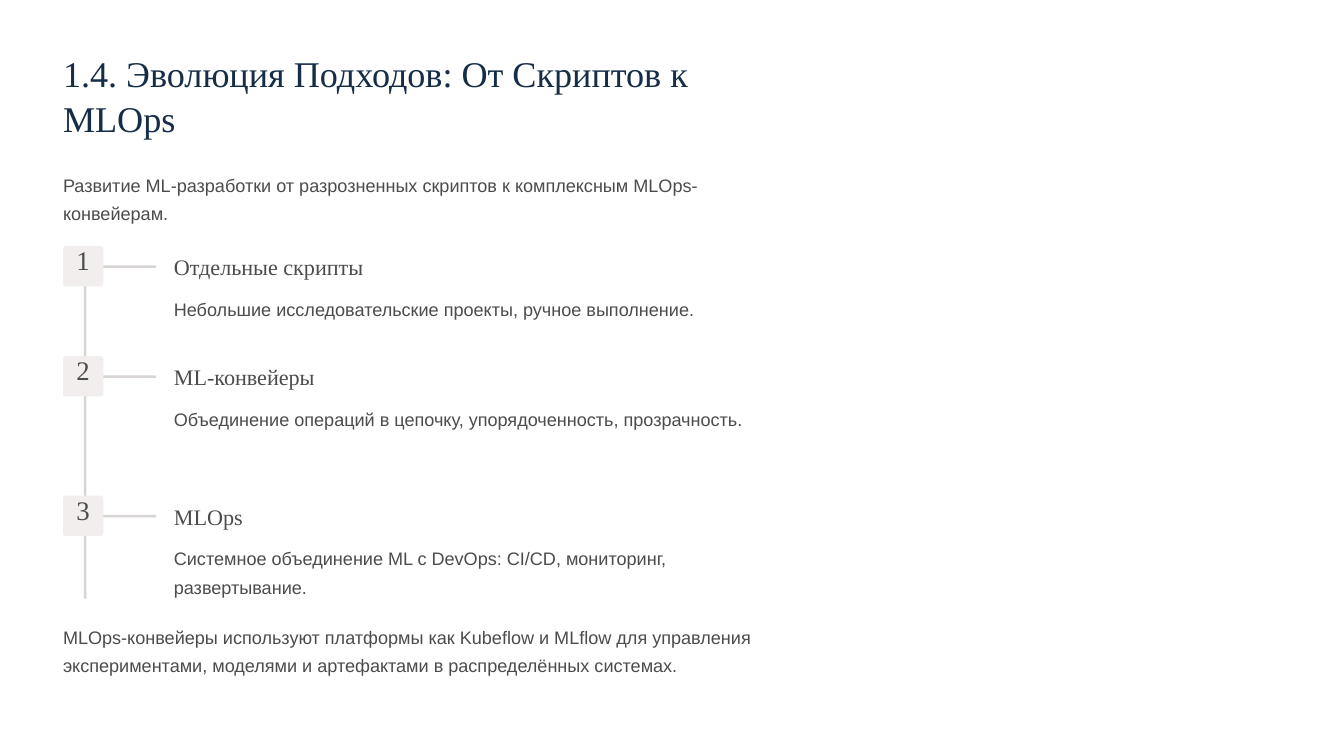
"""Builds a slide on the evolution from scripts to MLOps as a vertical timeline."""
import dataclasses

import pptx
import pptx.dml.color
import pptx.enum.shapes
import pptx.enum.text
import pptx.util

Inches = pptx.util.Inches
Pt = pptx.util.Pt
RGB = pptx.dml.color.RGBColor.from_string
ALIGN = pptx.enum.text.PP_ALIGN


@dataclasses.dataclass(frozen=True)
class TextStyle:
    font: str
    size: float
    leading: float
    color: str
    align: ALIGN = ALIGN.LEFT


@dataclasses.dataclass(frozen=True)
class Theme:
    background: str = "FFFFFF"
    line: str = "D8D4D4"
    badge: str = "F2EEEE"
    title: TextStyle = TextStyle("Times New Roman", 31, 38.5, "152D47")
    heading: TextStyle = TextStyle("Times New Roman", 19, 24, "4C4C4D")
    number: TextStyle = TextStyle("Times New Roman", 23, 23, "4C4C4D", ALIGN.CENTER)
    body: TextStyle = TextStyle("Arial", 15.5, 24.5, "4C4C4D")


class Deck:
    def __init__(self, theme):
        self.theme = theme
        self.prs = pptx.Presentation()
        self.prs.slide_width, self.prs.slide_height = Inches(16), Inches(9)
        self.slide = self.prs.slides.add_slide(self.prs.slide_layouts[5])
        fill = self.slide.background.fill
        fill.solid()
        fill.fore_color.rgb = RGB(theme.background)

    def set_text(self, sp, text, style):
        tf = sp.text_frame
        tf.word_wrap = True
        tf.auto_size = pptx.enum.text.MSO_AUTO_SIZE.NONE
        tf.vertical_anchor = pptx.enum.text.MSO_ANCHOR.TOP
        tf.margin_left = tf.margin_top = tf.margin_right = tf.margin_bottom = 0
        p = tf.paragraphs[0]
        p.text = text
        p.alignment = style.align
        p.line_spacing = Pt(style.leading)
        p.font.name = style.font
        p.font.size = Pt(style.size)
        p.font.color.rgb = RGB(style.color)

    def title(self, text, x, y, w, h):
        sp = self.slide.shapes.title
        sp.left, sp.top, sp.width, sp.height = map(Inches, (x, y, w, h))
        self.set_text(sp, text, self.theme.title)

    def text(self, text, x, y, w, h, style):
        sp = self.slide.shapes.add_textbox(*map(Inches, (x, y, w, h)))
        self.set_text(sp, text, style)

    def bar(self, x, y, w, h, color, rounding=0.5):
        sp = self.slide.shapes.add_shape(
            pptx.enum.shapes.MSO_SHAPE.ROUNDED_RECTANGLE, *map(Inches, (x, y, w, h)))
        sp.adjustments[0] = rounding
        sp.shadow.inherit = False
        sp.fill.solid()
        sp.fill.fore_color.rgb = RGB(color)
        sp.line.fill.background()

    def step(self, number, y, heading, detail):
        theme = self.theme
        self.bar(1.21, y + 0.23, 0.65, 0.03, theme.line)
        self.bar(LEFT, y, 0.48, 0.48, theme.badge, 0.07)
        self.text(str(number), LEFT + 0.08, y + 0.04, 0.32, 0.4, theme.number)
        self.text(heading, 2.07, y + 0.07, 2.69, 0.34, theme.heading)
        self.text(detail, 2.07, y + 0.54, 7.17, 0.69, theme.body)


LEFT, WIDTH = 0.75, 8.49
STEPS = [
    (2.93, "Отдельные скрипты", "Небольшие исследовательские проекты, ручное выполнение."),
    (4.24, "ML-конвейеры", "Объединение операций в цепочку, упорядоченность, прозрачность."),
    (5.9, "MLOps", "Системное объединение ML с DevOps: CI/CD, мониторинг, развертывание."),
]


def main():
    theme = Theme()
    deck = Deck(theme)
    deck.title("1.4. Эволюция Подходов: От Скриптов к MLOps", LEFT, 0.59, WIDTH, 1.08)
    deck.text("Развитие ML-разработки от разрозненных скриптов к комплексным MLOps-конвейерам.",
              LEFT, 1.99, WIDTH, 0.69, theme.body)
    deck.bar(1, 2.93, 0.03, 4.2, theme.line)
    for number, (y, heading, detail) in enumerate(STEPS, 1):
        deck.step(number, y, heading, detail)
    deck.text("MLOps-конвейеры используют платформы как Kubeflow и MLflow для управления "
              "экспериментами, моделями и артефактами в распределённых системах.",
              LEFT, 7.37, WIDTH, 1.03, theme.body)
    deck.prs.save("out.pptx")


if __name__ == "__main__":
    main()
